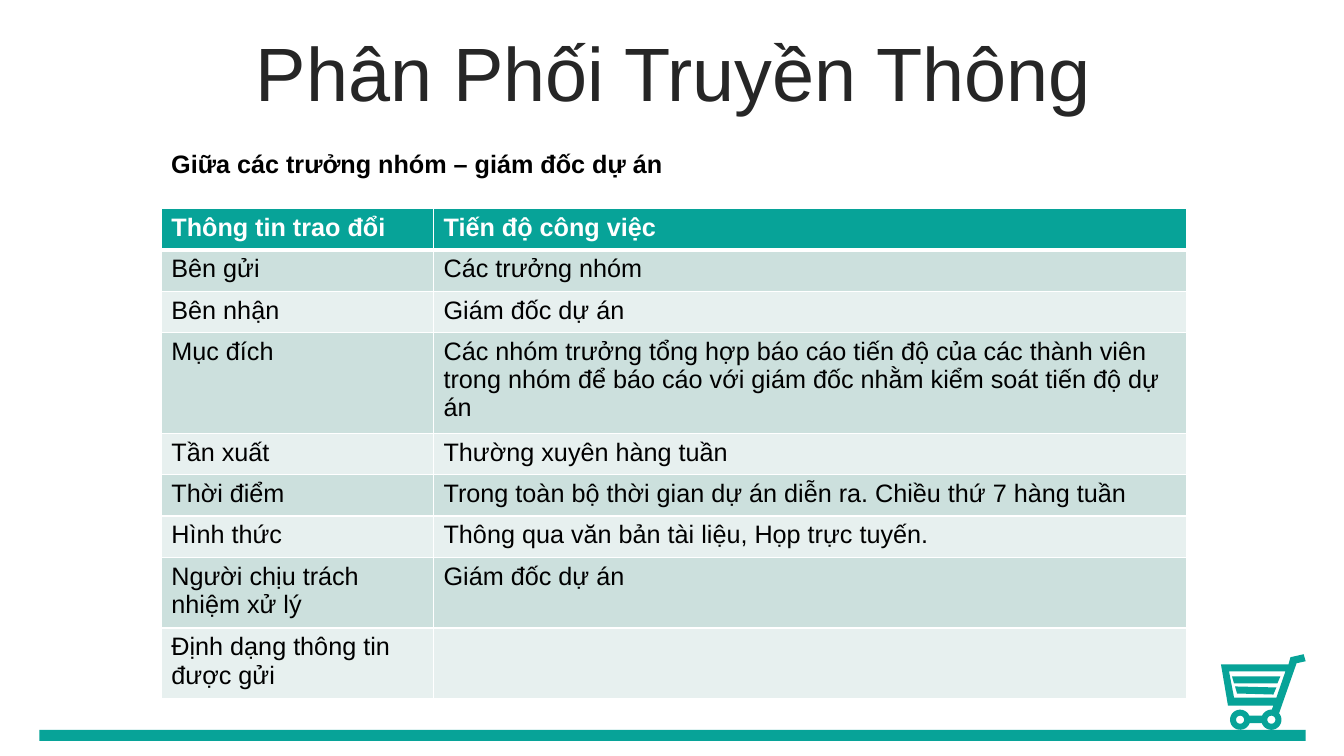
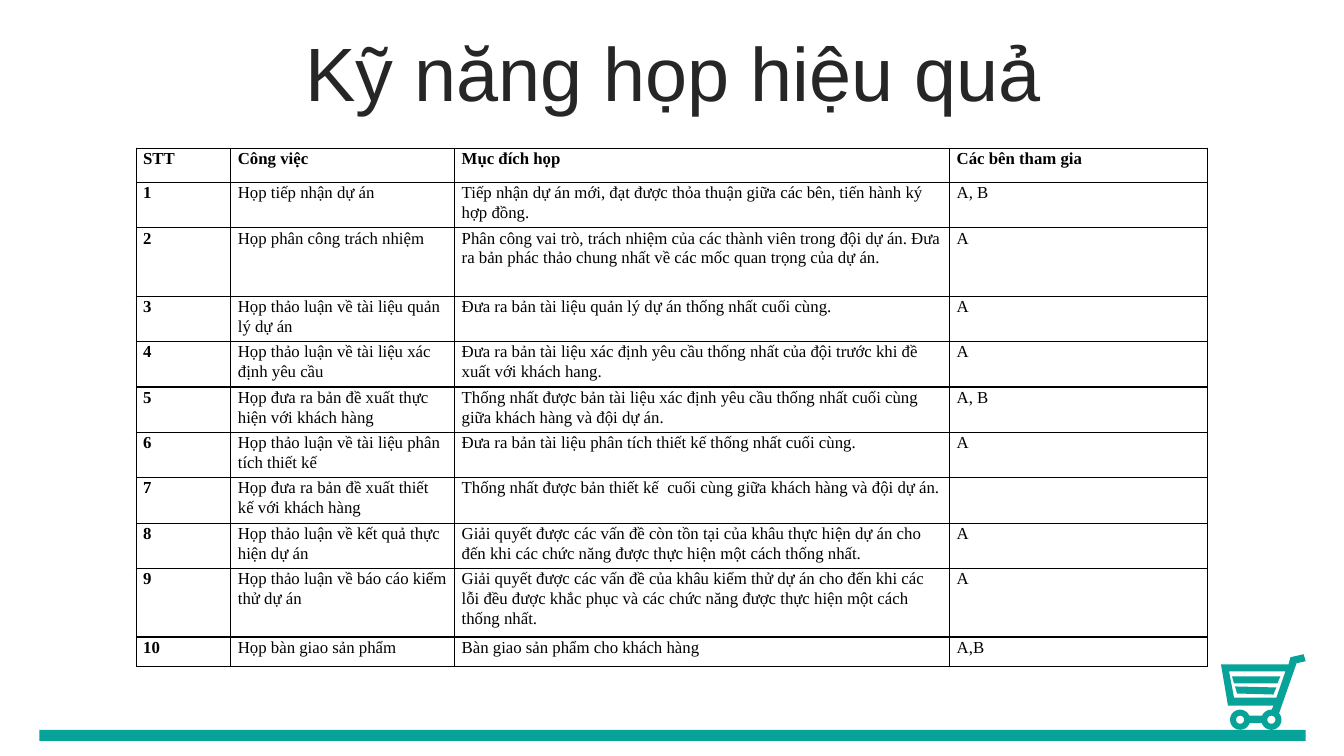
"""Build two slides on project communication and effective meetings."""
from dataclasses import dataclass
from math import cos, radians, sin
from typing import Optional

from lxml.etree import SubElement
from pptx import Presentation
from pptx.dml.color import RGBColor
from pptx.enum.shapes import MSO_SHAPE
from pptx.enum.text import MSO_ANCHOR, MSO_AUTO_SIZE, PP_ALIGN
from pptx.oxml.ns import qn
from pptx.util import Inches, Pt

TEAL = RGBColor(0x07, 0xA3, 0x98)
BAND_DARK = RGBColor(0xCC, 0xE0, 0xDD)
BAND_LIGHT = RGBColor(0xE7, 0xF0, 0xEF)
INK = RGBColor(0x26, 0x26, 0x26)
BLACK = RGBColor(0, 0, 0)
WHITE = RGBColor(0xFF, 0xFF, 0xFF)

Point = tuple[float, float]


@dataclass(frozen=True)
class TextStyle:
    font: str
    size: float
    color: RGBColor = BLACK
    bold: bool = False


@dataclass(frozen=True)
class TableStyle:
    text: TextStyle
    header_color: RGBColor
    border: RGBColor
    header_rule: float = 1
    header_fill: Optional[RGBColor] = None
    bands: tuple[RGBColor, ...] = ()
    bold_first_col: bool = False
    margins: Optional[Point] = None
    line_spacing: Optional[float] = None
    space_after: Optional[float] = None


@dataclass(frozen=True)
class TableSpec:
    left: float
    top: float
    cols: tuple[float, ...]
    heights: tuple[float, ...]
    rows: tuple[tuple[str, ...], ...]
    style: TableStyle


TITLE = TextStyle("Arial", 54, INK)
SUBTITLE = TextStyle("Arial", 18, bold=True)

BANDED = TableStyle(
    TextStyle("Arial", 18), WHITE, WHITE, header_rule=3,
    header_fill=TEAL, bands=(BAND_DARK, BAND_LIGHT),
)
RULED = TableStyle(
    TextStyle("Times New Roman", 12), BLACK, BLACK, bold_first_col=True,
    margins=(0.07, 0), line_spacing=1.07, space_after=8,
)

EXCHANGE = TableSpec(1.6, 2.07, (2.7, 7.47), (0.41,) * 9, (
    ("Thông tin trao đổi", "Tiến độ công việc"),
    ("Bên gửi", "Các trưởng nhóm"),
    ("Bên nhận", "Giám đốc dự án"),
    ("Mục đích", "Các nhóm trưởng tổng hợp báo cáo tiến độ của các thành viên "
     "trong nhóm để báo cáo với giám đốc nhằm kiểm soát tiến độ dự án"),
    ("Tần xuất", "Thường xuyên hàng tuần"),
    ("Thời điểm", "Trong toàn bộ thời gian dự án diễn ra. Chiều thứ 7 hàng tuần"),
    ("Hình thức", "Thông qua văn bản tài liệu, Họp trực tuyến."),
    ("Người chịu trách nhiệm xử lý", "Giám đốc dự án"),
    ("Định dạng thông tin được gửi", ""),
), BANDED)

MEETINGS = TableSpec(
    1.35, 1.47, (0.94, 2.22, 4.91, 2.56),
    (0.34, 0.45, 0.68, *(0.45,) * 6, 0.68, 0.29), (
        ("STT", "Công việc", "Mục đích họp", "Các bên tham gia"),
        ("1", "Họp tiếp nhận dự án",
         "Tiếp nhận dự án mới, đạt được thỏa thuận giữa các bên, "
         "tiến hành ký hợp đồng.", "A, B"),
        ("2", "Họp phân công trách nhiệm",
         "Phân công vai trò, trách nhiệm của các thành viên trong đội dự án. "
         "Đưa ra bản phác thảo chung nhất về các mốc quan trọng của dự án.", "A"),
        ("3", "Họp thảo luận về tài liệu quản lý dự án",
         "Đưa ra bản tài liệu quản lý dự án thống nhất cuối cùng.", "A"),
        ("4", "Họp thảo luận về tài liệu xác định yêu cầu",
         "Đưa ra bản tài liệu xác định yêu cầu thống nhất của đội trước khi "
         "đề xuất với khách hang.", "A"),
        ("5", "Họp đưa ra bản đề xuất thực hiện với khách hàng",
         "Thống nhất được bản tài liệu xác định yêu cầu thống nhất cuối cùng "
         "giữa khách hàng và đội dự án.", "A, B"),
        ("6", "Họp thảo luận về tài liệu phân tích thiết kế",
         "Đưa ra bản tài liệu phân tích thiết kế thống nhất cuối cùng.", "A"),
        ("7", "Họp đưa ra bản đề xuất thiết kế với khách hàng",
         "Thống nhất được bản thiết kế  cuối cùng giữa khách hàng và đội dự án.",
         ""),
        ("8", "Họp thảo luận về kết quả thực hiện dự án",
         "Giải quyết được các vấn đề còn tồn tại của khâu thực hiện dự án cho "
         "đến khi các chức năng được thực hiện một cách thống nhất.", "A"),
        ("9", "Họp thảo luận về báo cáo kiểm thử dự án",
         "Giải quyết được các vấn đề của khâu kiểm thử dự án cho đến khi các "
         "lỗi đều được khắc phục và các chức năng được thực hiện một cách "
         "thống nhất.", "A"),
        ("10", "Họp bàn giao sản phẩm", "Bàn giao sản phẩm cho khách hàng", "A,B"),
    ), RULED)


def arc(center: Point, radius: float, start: int, end: int) -> list[Point]:
    """Return points along an arc, with angles in degrees clockwise from the right."""
    steps = 24
    angles = [radians(start + (end - start) * i / steps) for i in range(steps + 1)]
    return [(center[0] + radius * cos(a), center[1] + radius * sin(a)) for a in angles]


def cart_contours() -> list[list[Point]]:
    """Return the cart's silhouette, basket opening, slats and wheel hubs."""
    left_wheel, right_wheel = (12.3, 7.14), (12.61, 7.14)
    silhouette = [
        (12.93, 6.49), (12.8, 6.52), (12.78, 6.59), (12.11, 6.59),
        (12.18, 7), (12.63, 7), (12.61, 7.05),
        *arc(right_wheel, 0.1, -90, -156),
        *arc(left_wheel, 0.1, -24, -340),
        *arc(right_wheel, 0.1, 160, -40),
        (12.86, 6.58), (12.95, 6.56),
    ]
    return [
        silhouette,
        [(12.75, 6.66), (12.66, 6.92), (12.24, 6.92), (12.19, 6.66)],
        [(12.22, 6.71), (12.24, 6.78), (12.67, 6.78), (12.7, 6.71)],
        [(12.25, 6.81), (12.27, 6.88), (12.63, 6.89), (12.66, 6.82)],
        arc(left_wheel, 0.04, 0, 360),
        arc(right_wheel, 0.04, 0, 360),
    ]


def paint(sp) -> None:
    """Fill a shape with teal, without line or shadow."""
    sp.shadow.inherit = False
    sp.fill.solid()
    sp.fill.fore_color.rgb = TEAL
    sp.line.fill.background()


def add_cart(slide) -> None:
    """Draw the shopping cart above the footer band."""
    contours = [[(Inches(x), Inches(y)) for x, y in c] for c in cart_contours()]
    builder = slide.shapes.build_freeform(*contours[0][0])
    builder.add_line_segments(contours[0][1:], close=True)
    for contour in contours[1:]:
        builder.move_to(*contour[0])
        builder.add_line_segments(contour[1:], close=True)
    paint(builder.convert_to_shape())


def add_run(p, text: str, style: TextStyle) -> None:
    """Add one styled run to a paragraph."""
    r = p.add_run()
    r.text = text
    r.font.name = style.font
    r.font.size = Pt(style.size)
    r.font.bold = style.bold
    r.font.color.rgb = style.color


def add_text(slide, text: str, style: TextStyle, left: float, top: float,
             width: float, height: float):
    """Add a wrapping text box and return its text frame."""
    box = slide.shapes.add_textbox(
        Inches(left), Inches(top), Inches(width), Inches(height))
    tf = box.text_frame
    tf.word_wrap = True
    add_run(tf.paragraphs[0], text, style)
    return tf


def add_slide(prs, title: str):
    """Add a blank slide with the shared cart, footer band and title."""
    slide = prs.slides.add_slide(prs.slide_layouts[6])
    add_cart(slide)
    paint(slide.shapes.add_shape(
        MSO_SHAPE.RECTANGLE, Inches(0.39), Inches(7.24), Inches(12.56), Inches(0.11)))
    tf = add_text(slide, title, TITLE, 0.35, 0.37, 12.66, 0.79)
    tf.vertical_anchor = MSO_ANCHOR.MIDDLE
    p = tf.paragraphs[0]
    p.alignment = PP_ALIGN.CENTER
    p.line_spacing = 0.9
    p.space_before = Pt(10)
    return slide


def set_borders(cell, color: RGBColor, top: float, bottom: float) -> None:
    """Give a cell its four borders, with one-point sides."""
    tc_pr = cell._tc.get_or_add_tcPr()
    widths = {"a:lnL": 1, "a:lnR": 1, "a:lnT": top, "a:lnB": bottom}
    for i, (tag, width) in enumerate(widths.items()):
        ln = SubElement(tc_pr, qn(tag), w=str(Pt(width)))
        SubElement(SubElement(ln, qn("a:solidFill")), qn("a:srgbClr"), val=str(color))
        tc_pr.insert(i, ln)


def format_cell(cell, text: str, row: int, col: int, style: TableStyle) -> None:
    """Apply text, fill and borders to one cell."""
    header = row == 0
    fill = style.header_fill
    if not header:
        fill = style.bands[(row - 1) % len(style.bands)] if style.bands else None
    if fill is None:
        cell.fill.background()
    else:
        cell.fill.solid()
        cell.fill.fore_color.rgb = fill
    set_borders(cell, style.border,
                top=style.header_rule if row == 1 else 1,
                bottom=style.header_rule if header else 1)
    if style.margins:
        x, y = style.margins
        cell.margin_left = cell.margin_right = Inches(x)
        cell.margin_top = cell.margin_bottom = Inches(y)
    if text:
        p = cell.text_frame.paragraphs[0]
        if style.line_spacing:
            p.line_spacing = style.line_spacing
        if style.space_after:
            p.space_after = Pt(style.space_after)
        color = style.header_color if header else style.text.color
        bold = header or (style.bold_first_col and col == 0)
        add_run(p, text, TextStyle(style.text.font, style.text.size, color, bold))


def add_table(slide, table: TableSpec) -> None:
    """Draw a table from its description."""
    tbl = slide.shapes.add_table(
        len(table.rows), len(table.cols), Inches(table.left), Inches(table.top),
        Inches(sum(table.cols)), Inches(sum(table.heights))).table
    tbl.first_row = tbl.horz_banding = False
    for column, width in zip(tbl.columns, table.cols):
        column.width = Inches(width)
    for i, (height, texts) in enumerate(zip(table.heights, table.rows)):
        tbl.rows[i].height = Inches(height)
        for j, text in enumerate(texts):
            format_cell(tbl.cell(i, j), text, i, j, table.style)


def main() -> None:
    """Build and save the presentation."""
    prs = Presentation()
    prs.slide_width, prs.slide_height = Inches(13.33), Inches(7.5)

    slide = add_slide(prs, "Phân Phối Truyền Thông")
    add_table(slide, EXCHANGE)
    tf = add_text(slide, "Giữa các trưởng nhóm – giám đốc dự án", SUBTITLE,
                  1.6, 1.42, 5.92, 0.4)
    tf.auto_size = MSO_AUTO_SIZE.SHAPE_TO_FIT_TEXT

    slide = add_slide(prs, "Kỹ năng họp hiệu quả")
    add_table(slide, MEETINGS)

    prs.save("out.pptx")


if __name__ == "__main__":
    main()
